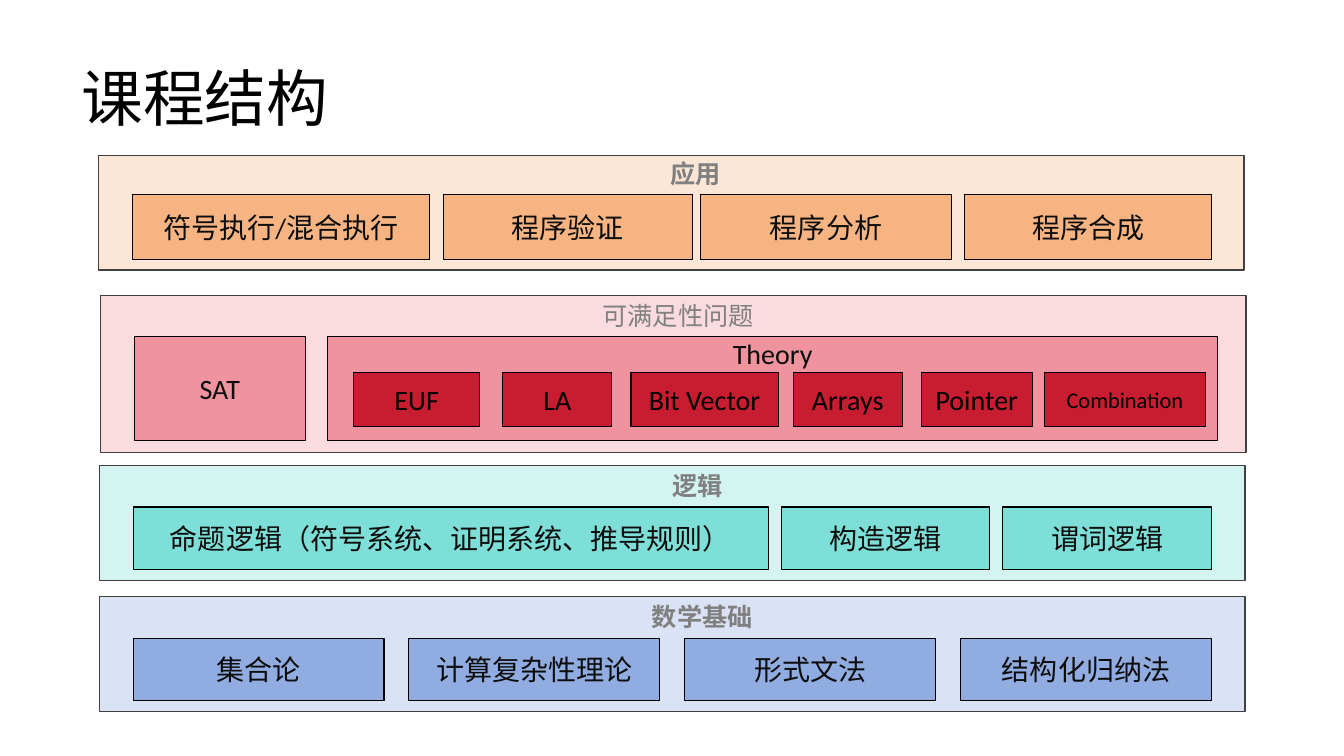
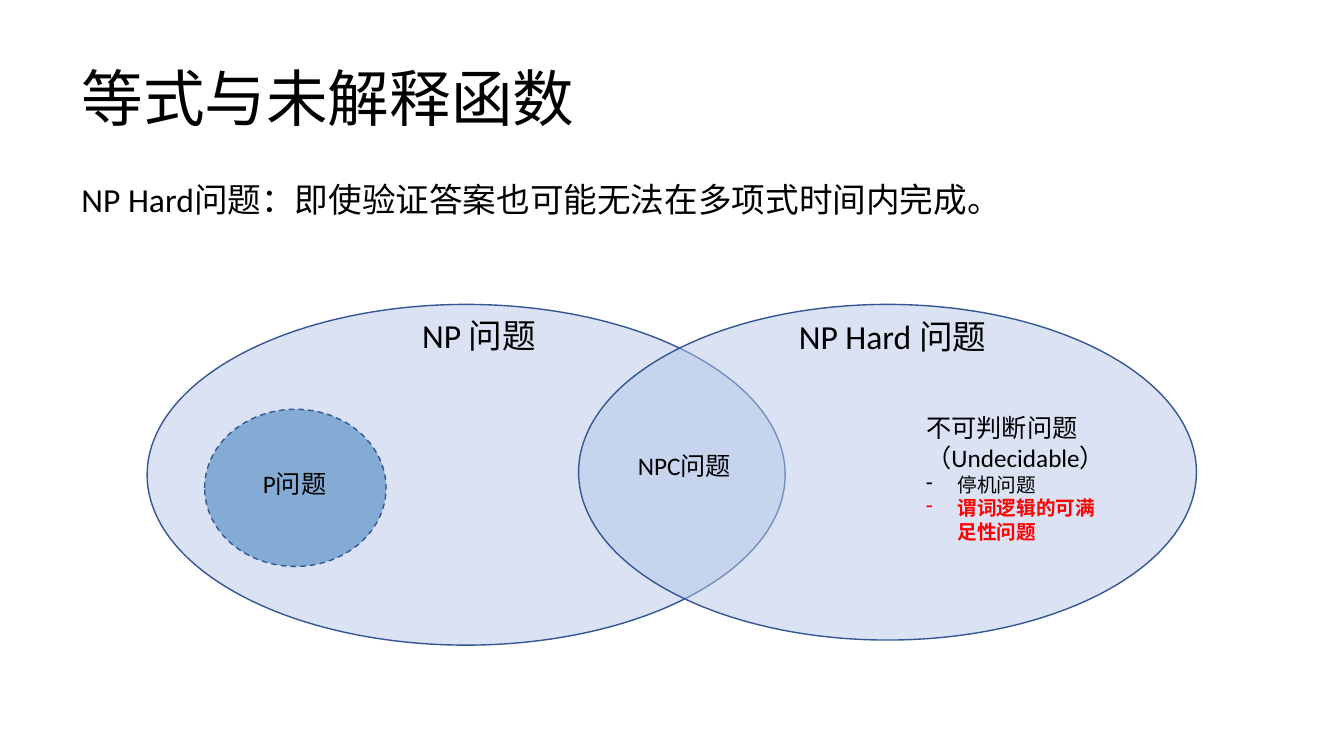
"""Build two course slides: a layered course map and a complexity diagram."""
import dataclasses

import lxml.etree
import pptx
import pptx.dml.color
import pptx.enum.dml
import pptx.enum.shapes
import pptx.enum.text
import pptx.oxml.ns
import pptx.util

COLUMNS, ROWS = 40, 22.5
CELL = pptx.util.Inches(13.33) / COLUMNS
LATIN, CHINESE = "Calibri", "Noto Sans CJK SC"
COLORS = {
    "black": "000000", "chip text": "0D0D0D", "label": "808080", "red": "FF0000",
    "band line": "404040", "set line": "355696", "set": "B6C7EA", "subset": "2E75B6",
    "orange band": "FCE6D5", "orange": "F5B482",
    "pink band": "FADBDF", "pink": "EF949E", "crimson": "C81D31",
    "teal band": "D4F4F2", "teal": "7DDFD7",
    "blue band": "DAE3F5", "blue": "91ACE0",
}
RECTANGLE = pptx.enum.shapes.MSO_SHAPE.RECTANGLE
OVAL = pptx.enum.shapes.MSO_SHAPE.OVAL
ANCHOR = pptx.enum.text.MSO_ANCHOR
CENTER = pptx.enum.text.PP_ALIGN.CENTER
LEFT = pptx.enum.text.PP_ALIGN.LEFT


@dataclasses.dataclass
class Box:
    """A region measured in grid columns and rows."""
    left: float
    top: float
    width: float
    height: float

    def inner(self, left, top, width, height):
        """Return a box placed relative to this one."""
        return Box(self.left + left, self.top + top, width, height)

    def emu(self):
        """Return left, top, width and height as lengths."""
        sides = (self.left, self.top, self.width, self.height)
        return [pptx.util.Emu(round(side * CELL)) for side in sides]


@dataclasses.dataclass
class Style:
    """The look of one run of text."""
    size: float
    color: str = "black"
    bold: bool = False
    latin: str = LATIN


TITLE = Style(44, latin=CHINESE)
HEADING = Style(24)
NORMAL = Style(18)
CHIP = Style(20, "chip text")
THEORY = Style(20)
LABEL = Style(18, "label", True, CHINESE)


def rgb(name):
    """Look up a named colour."""
    return pptx.dml.color.RGBColor.from_string(COLORS[name])


def add_bullet(paragraph):
    """Give a paragraph a hanging dash."""
    properties = paragraph._p.get_or_add_pPr()
    indent = pptx.util.Inches(0.31)
    properties.set("marL", str(indent))
    properties.set("indent", str(-indent))
    bullet = lxml.etree.SubElement(properties, pptx.oxml.ns.qn("a:buChar"))
    bullet.set("char", "-")


def add_run(paragraph, text, style):
    """Append one styled run."""
    run = paragraph.add_run()
    run.text = text
    run.font.size = pptx.util.Pt(style.size)
    run.font.bold = style.bold
    run.font.color.rgb = rgb(style.color)
    run.font.name = style.latin
    latin = run._r.rPr.find(pptx.oxml.ns.qn("a:latin"))
    east_asian = latin.makeelement(pptx.oxml.ns.qn("a:ea"), {"typeface": CHINESE})
    latin.addnext(east_asian)


def fill_text(shape, lines, align=LEFT, anchor=ANCHOR.TOP, bullets_from=None):
    """Write (text, style) lines as the paragraphs of a shape."""
    frame = shape.text_frame
    frame.word_wrap = True
    frame.vertical_anchor = anchor
    for index, (text, style) in enumerate(lines):
        paragraph = frame.add_paragraph() if index else frame.paragraphs[0]
        paragraph.alignment = align
        if bullets_from is not None and index >= bullets_from:
            add_bullet(paragraph)
        add_run(paragraph, text, style)
    return frame


def add_text(slide, box, *lines, **options):
    """Add a text box holding the given lines."""
    return fill_text(slide.shapes.add_textbox(*box.emu()), lines, **options)


def add_figure(slide, kind, box, fill, line, weight):
    """Add a filled and outlined preset shape."""
    shape = slide.shapes.add_shape(kind, *box.emu())
    shape.shadow.inherit = False
    shape.fill.solid()
    shape.fill.fore_color.rgb = rgb(fill)
    shape.line.color.rgb = rgb(line)
    shape.line.width = pptx.util.Pt(weight)
    return shape


def add_set(slide, box, fill):
    """Add a half-transparent ellipse."""
    shape = add_figure(slide, OVAL, box, fill, "set line", 1)
    color = shape.fill._xPr.find(".//" + pptx.oxml.ns.qn("a:srgbClr"))
    lxml.etree.SubElement(color, pptx.oxml.ns.qn("a:alpha")).set("val", "50000")
    return shape


def add_chip(slide, box, text, fill, style=CHIP, anchor=ANCHOR.MIDDLE):
    """Add a topic rectangle with centred text."""
    shape = add_figure(slide, RECTANGLE, box, fill, "black", 0.75)
    return fill_text(shape, [(text, style)], CENTER, anchor)


def add_titled_slide(presentation, title):
    """Add a blank slide with the shared title."""
    slide = presentation.slides.add_slide(presentation.slide_layouts[6])
    frame = add_text(slide, Box(2.13, 0.84, 34.5, 4.35), (title, TITLE),
                     anchor=ANCHOR.MIDDLE)
    frame.paragraphs[0].line_spacing = 0.9
    return slide


def add_band(slide, box, color, label, label_at, chips=(), chip_top=1.23,
             chip_height=1.86, label_style=LABEL):
    """Add one layer with its label and a row of (text, left, width) chips."""
    add_figure(slide, RECTANGLE, box, color + " band", "band line", 1)
    for text, left, width in chips:
        add_chip(slide, box.inner(left, chip_top, width, chip_height), text, color)
    add_text(slide, box.inner(*label_at, 5.52, 1.23), (label, label_style))


def add_theories(slide, box):
    """Add the theory panel and the theories inside it."""
    frame = add_chip(slide, box, "Theory", "pink", anchor=ANCHOR.TOP)
    frame.margin_top = 0
    theories = [("EUF", 0.78, 3.75), ("LA", 5.22, 3.24), ("Bit Vector", 9.03, 4.38),
                ("Arrays", 13.86, 3.24), ("Pointer", 17.67, 3.3)]
    for text, left, width in theories:
        add_chip(slide, box.inner(left, 1.08, width, 1.59), text, "crimson", THEORY)
    add_chip(slide, box.inner(21.33, 1.08, 4.8, 1.59), "Combination", "crimson",
             Style(16))


def build_course_map(presentation):
    """Build the slide of four stacked layers."""
    slide = add_titled_slide(presentation, "课程结构")
    basics = ["集合论", "计算复杂性理论", "形式文法", "结构化归纳法"]
    add_band(slide, Box(2.97, 17.76, 34.08, 3.42), "blue", "数学基础", (16.14, 0),
             [(text, 0.99 + 8.21 * index, 7.47) for index, text in enumerate(basics)])
    add_band(slide, Box(2.97, 13.86, 34.08, 3.42), "teal", "逻辑", (16.74, 0),
             [("命题逻辑（符号系统、证明系统、推导规则）", 0.99, 18.9),
              ("构造逻辑", 20.28, 6.21), ("谓词逻辑", 26.88, 6.21)])
    add_band(slide, Box(2.94, 4.62, 34.08, 3.42), "orange", "应用", (16.71, -0.06),
             [("符号执行/混合执行", 0.99, 8.85), ("程序验证", 10.26, 7.41),
              ("程序分析", 17.91, 7.47), ("程序合成", 25.77, 7.35)], 1.18, 1.92)
    problems = Box(3, 8.79, 34.08, 4.68)
    add_band(slide, problems, "pink", "可满足性问题", (14.64, 0),
             [("SAT", 0.99, 5.1)], chip_height=3.09, label_style=Style(18, "label"))
    add_theories(slide, problems.inner(6.75, 1.23, 26.49, 3.09))


def add_complexity_sets(slide, box):
    """Add the overlapping problem classes and their labels."""
    add_set(slide, box.inner(0, 0, 18.99, 10.14), "set")
    add_set(slide, box.inner(12.84, 0, 18.39, 9.99), "set")
    add_text(slide, box.inner(22.89, 3.06, 6.18, 4.23),
             ("不可判断问题", NORMAL), ("（Undecidable）", NORMAL),
             ("停机问题", Style(14)),
             ("谓词逻辑的可满足性问题", Style(14, "red", True)), bullets_from=2)
    add_text(slide, box.inner(19.1, 0.18, 7.8, 1.5), ("NP Hard 问题", HEADING))
    add_text(slide, box.inner(7.89, 0.15, 5.37, 1.5), ("NP 问题", HEADING))
    add_text(slide, box.inner(14.31, 4.2, 5.37, 1.2), ("NPC问题", NORMAL))
    polynomial = add_set(slide, box.inner(1.71, 3.12, 5.4, 4.68), "subset")
    polynomial.line.dash_style = pptx.enum.dml.MSO_LINE.DASH
    add_text(slide, box.inner(3.15, 4.74, 2.64, 1.2), ("P问题", NORMAL))


def build_complexity(presentation):
    """Build the slide on NP-hard problems."""
    slide = add_titled_slide(presentation, "等式与未解释函数")
    add_complexity_sets(slide, Box(4.38, 9.06, 31.23, 10.14))
    add_text(slide, Box(2.13, 5.19, 29.31, 2.76),
             ("NP Hard问题：即使验证答案也可能无法在多项式时间内完成。", HEADING))


def main():
    """Build and save the presentation."""
    presentation = pptx.Presentation()
    presentation.slide_width = pptx.util.Emu(round(COLUMNS * CELL))
    presentation.slide_height = pptx.util.Emu(round(ROWS * CELL))
    build_course_map(presentation)
    build_complexity(presentation)
    presentation.save("out.pptx")


if __name__ == "__main__":
    main()
